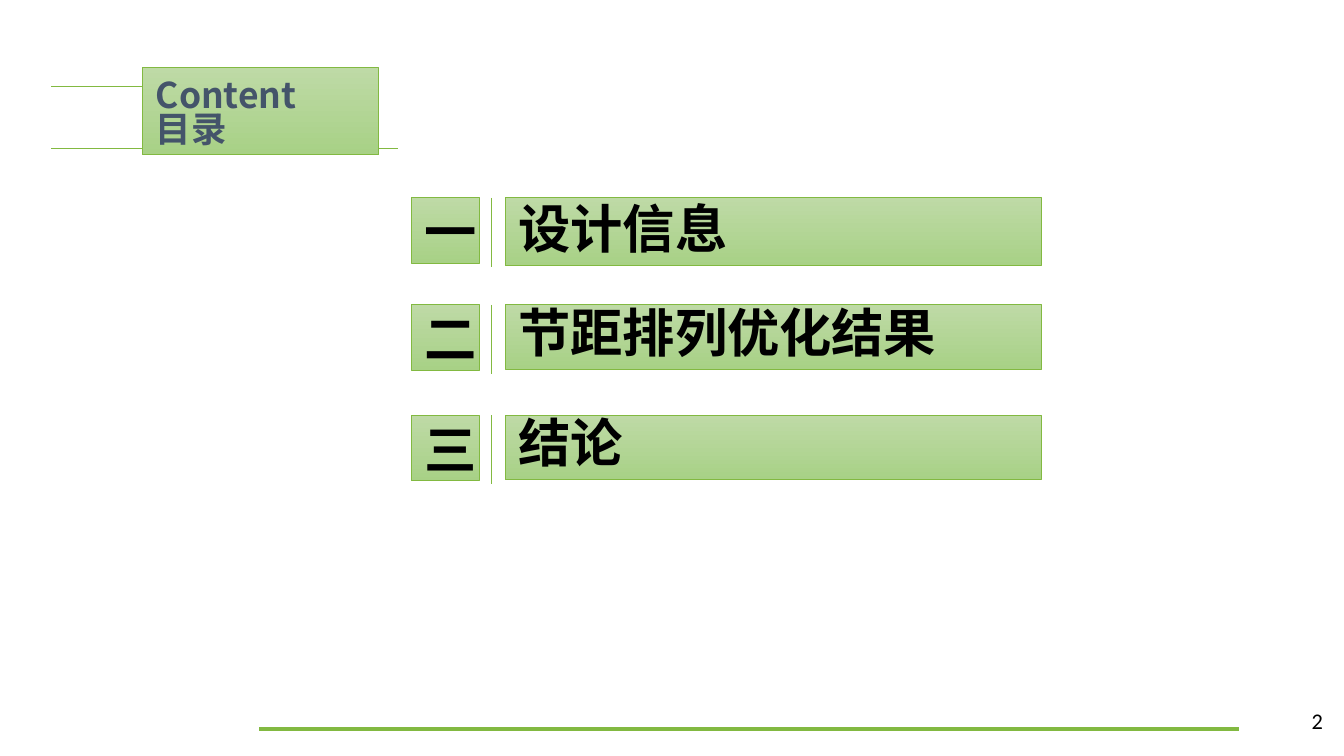
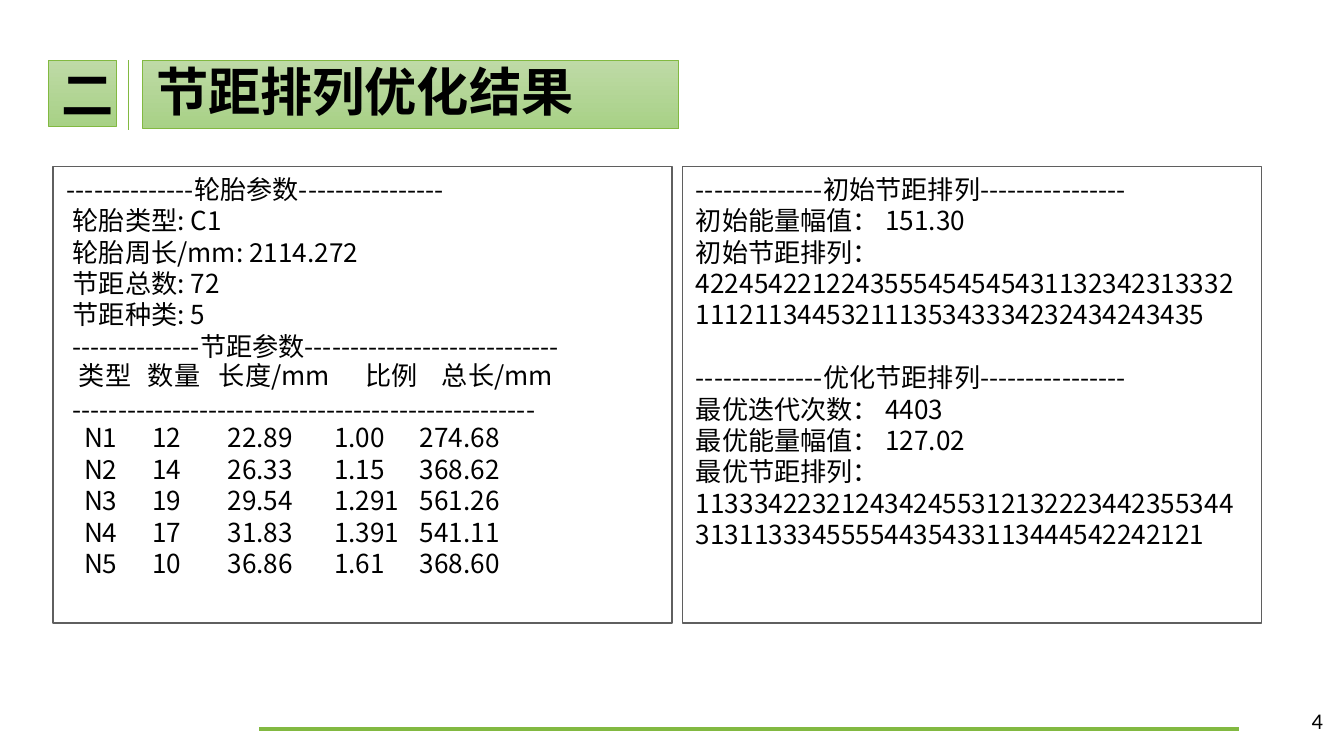
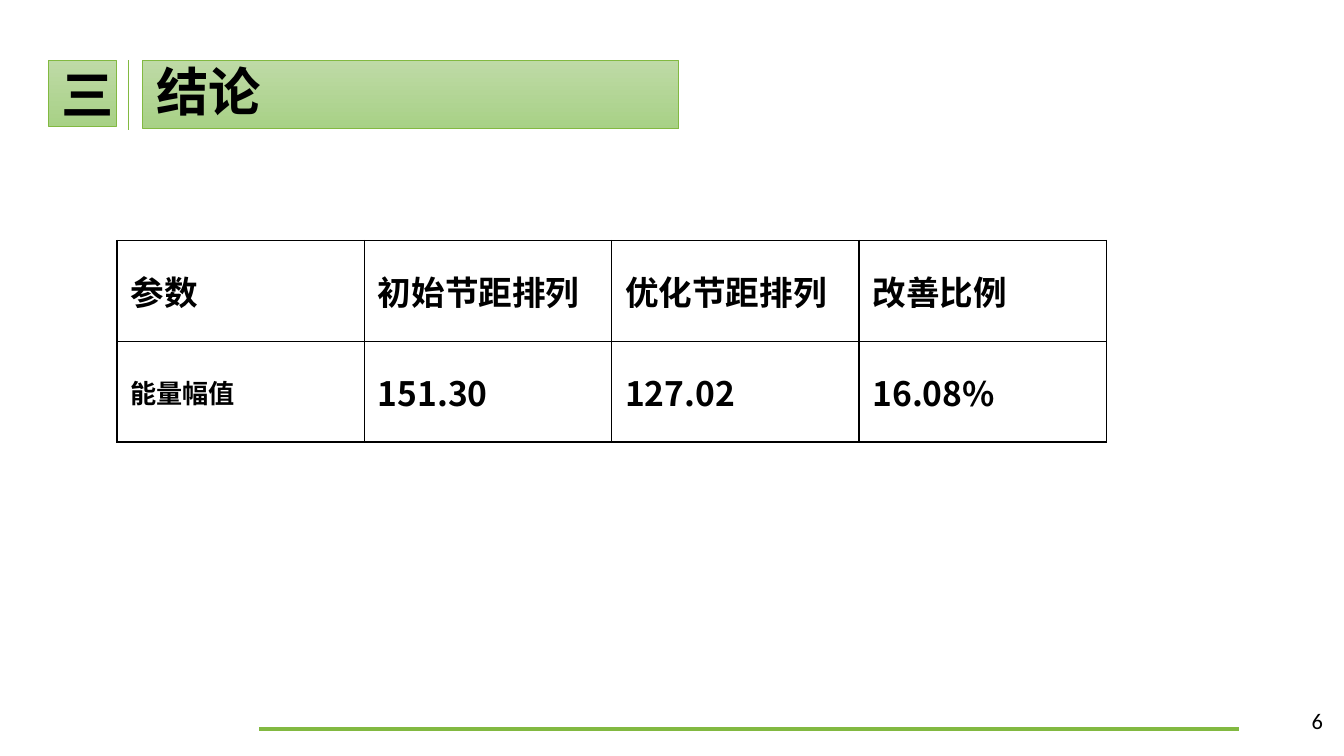
from dataclasses import dataclass
from typing import Any

from pptx import Presentation
from pptx.dml.color import RGBColor
from pptx.enum.shapes import MSO_CONNECTOR as Conn, MSO_SHAPE as Kind
from pptx.enum.text import MSO_ANCHOR as Anchor, MSO_AUTO_SIZE as Fit, PP_ALIGN as Align
from pptx.oxml.ns import qn
from pptx.oxml.xmlchemy import OxmlElement as Node
from pptx.util import Pt

# Shared colours and fonts
GREEN = RGBColor(0x82, 0xB9, 0x41)
PALE = RGBColor(0xBE, 0xDA, 0xA6)
LEAF = RGBColor(0xA8, 0xD1, 0x86)
SLATE = RGBColor(0x44, 0x54, 0x6A)
GREY = RGBColor(0x5F, 0x5F, 0x5F)
BLACK = RGBColor(0, 0, 0)
WHITE = RGBColor(255, 255, 255)
SANS = "Noto Sans CJK SC"

# Text formats
HEAD = dict(size=Pt(28), name=SANS, bold=True)
TOPIC = dict(size=Pt(19), name=SANS, bold=True)
BODY = dict(size=Pt(14), name=SANS, bold=False)
CELL = dict(size=Pt(18), name=SANS, bold=True)
SMALL = dict(CELL, size=Pt(14))
PAGE = dict(size=Pt(12), name="Calibri", bold=False)
LEAD = 1.2  # line height per point of type
ROW = 16.8  # line height of body text

# Frame formats
FRAME = dict(auto_size=Fit.NONE, margin_left=Pt(7.2), margin_right=Pt(7.2),
             margin_top=Pt(3.6), margin_bottom=Pt(3.6))
MID = dict(FRAME, word_wrap=False, vertical_anchor=Anchor.MIDDLE)
LOW = dict(FRAME, word_wrap=False, vertical_anchor=Anchor.BOTTOM)
FLOW = dict(FRAME, word_wrap=True, vertical_anchor=Anchor.TOP)
FOOT = dict(MID, word_wrap=True, margin_right=Pt(6.3))
TIGHT = dict(margin_left=0, margin_right=0, margin_top=0, margin_bottom=0)


@dataclass
class Box:
    left: float
    top: float
    width: float
    height: float

    def args(self) -> list[Pt]:
        return [Pt(v) for v in (self.left, self.top, self.width, self.height)]


@dataclass
class Line:
    text: str
    gap: float = 0
    ratio: float = 1


@dataclass
class Entry:
    num: str
    title: str
    top: float
    tall: float


def apply(item: Any, style: dict[str, Any]) -> None:
    for key, value in style.items():
        setattr(item, key, value)


def ink(run: Any, style: dict[str, Any], color: RGBColor = BLACK) -> None:
    apply(run.font, style)
    run.font.color.rgb = color
    asian = Node("a:ea")
    asian.set("typeface", style["name"])
    run.font._element.find(qn("a:latin")).addnext(asian)


def write(shape: Any, lines: list[Line], frame: dict[str, Any],
          style: dict[str, Any], color: RGBColor = BLACK) -> None:
    text = shape.text_frame
    apply(text, frame)
    for i, line in enumerate(lines):
        para = text.add_paragraph() if i else text.paragraphs[0]
        apply(para, dict(alignment=Align.LEFT, space_before=Pt(line.gap), space_after=Pt(0),
                         line_spacing=Pt(style["size"].pt * LEAD * line.ratio)))
        props = para._p.get_or_add_pPr()
        props.set("marL", "0")
        props.set("indent", "0")
        props.append(Node("a:buNone"))
        run = para.add_run()
        run.text = line.text
        ink(run, style, color)


def place(shape: Any, box: Box) -> None:
    apply(shape, dict(zip(("left", "top", "width", "height"), box.args())))


def shade(shape: Any) -> None:
    shape.fill.gradient()
    shape.fill.gradient_angle = 270
    for stop, pos, color in zip(shape.fill.gradient_stops, (0, 1), (PALE, LEAF)):
        stop.position = pos
        stop.color.rgb = color
    shape.line.color.rgb = GREEN
    shape.line.width = Pt(0.5)


def block(slide: Any) -> Any:
    shape = slide.shapes.add_shape(Kind.RECTANGLE, 0, 0, 0, 0)
    shape.shadow.inherit = False
    return shape


def rule(slide: Any, x1: float, y1: float, x2: float, y2: float, width: float = 0.5) -> Any:
    line = slide.shapes.add_connector(Conn.STRAIGHT, Pt(x1), Pt(y1), Pt(x2), Pt(y2))
    line.line.color.rgb = GREEN
    line.line.width = Pt(width)
    line._element.spPr.append(Node("a:effectLst"))
    return line


def banner(slide: Any, left: float, entry: Entry, bar: Any) -> None:
    """Number chip, thin rule and titled bar."""
    chip = block(slide)
    place(chip, Box(left, entry.top, 36.5, 35.2))
    place(bar, Box(left + 50.4, entry.top, 287.2, entry.tall))
    for shape, text, frame in ((chip, entry.num, MID), (bar, entry.title, LOW)):
        shade(shape)
        write(shape, [Line(text)], frame, HEAD)
    rule(slide, left + 43, entry.top, left + 43, entry.top + 37)


def number(slide: Any, page: int) -> None:
    box = slide.shapes.add_textbox(*Box(553, 375, 162, 21.6).args())
    write(box, [Line(str(page))], FOOT, PAGE)
    box.text_frame.paragraphs[0].alignment = Align.RIGHT


def border(cell: Any, shown: bool) -> None:
    props = cell._tc.get_or_add_tcPr()
    for i, side in enumerate(("lnL", "lnR", "lnT", "lnB")):
        edge = Node(f"a:{side}")
        edge.set("w", str(Pt(1)))
        fill = Node("a:solidFill" if shown else "a:noFill")
        if shown:
            color = Node("a:srgbClr")
            color.set("val", str(BLACK))
            fill.append(color)
        edge.append(fill)
        props.insert(i, edge)


def grid(slide: Any, left: float, top: float, widths: list[float], tall: float,
         rows: list[tuple[str, ...]], lined: bool) -> Any:
    """Unfilled table, with or without borders; its cells hold no text yet."""
    box = Box(left, top, sum(widths), tall * len(rows))
    table = slide.shapes.add_table(len(rows), len(widths), *box.args()).table
    apply(table, dict(first_row=False, horz_banding=False))
    for col, width in zip(table.columns, widths):
        col.width = Pt(width)
    for cell in table.iter_cells():
        cell.fill.background()
        cell.vertical_anchor = Anchor.MIDDLE
        border(cell, lined)
    return table


def columns(slide: Any, top: float, stops: tuple[float, ...],
            rows: list[tuple[str, ...]]) -> None:
    """Borderless rows of body text, each column starting at its stop."""
    widths = [b - a for a, b in zip(stops, stops[1:])]
    table = grid(slide, stops[0], top, widths, ROW, rows, False)
    for r, row in enumerate(rows):
        for c, text in enumerate(row):
            cell = table.cell(r, c)
            apply(cell, TIGHT)
            write(cell, [Line(text)], {}, BODY)
        table.rows[r].height = Pt(ROW)


# Wording
ENTRIES = [Entry("一", "设计信息", 106, 36.5),
           Entry("二", "节距排列优化结果", 163.3, 34.6),
           Entry("三", "结论", 222.5, 34.6)]
NAMES = [("类型", "数量", "长度/mm", "比例", "总长/mm")]
PITCH = [("N1", "12", "22.89", "1.00", "274.68"),
         ("N2", "14", "26.33", "1.15", "368.62"),
         ("N3", "19", "29.54", "1.291", "561.26"),
         ("N4", "17", "31.83", "1.391", "541.11"),
         ("N5", "10", "36.86", "1.61", "368.60")]
INPUT = [
    Line("--------------轮胎参数----------------"),
    Line(" 轮胎类型: C1"),
    Line(" 轮胎周长/mm: 2114.272"),
    Line(" 节距总数: 72"),
    Line(" 节距种类: 5"),
    Line(" --------------节距参数----------------------------"),
    Line(" ---------------------------------------------------", gap=ROW),
]
RESULT = [
    Line("--------------初始节距排列----------------"),
    Line("初始能量幅值： 151.30"),
    Line("初始节距排列： 422454221224355545454543113234231333211121134453211135343334232434243435"),
    Line("--------------优化节距排列----------------", gap=ROW),
    Line("最优迭代次数： 4403"),
    Line("最优能量幅值： 127.02"),
    Line("最优节距排列： 113334223212434245531213222344235534431311333455554435433113444542242121"),
]
GAIN = [("参数", "初始节距排列", "优化节距排列", "改善比例"),
        ("能量幅值", "151.30", "127.02", "16.08%")]


def agenda(slide: Any) -> None:
    rule(slide, 82, 46.6, 27.4, 46.6)
    rule(slide, 27.4, 79.4, 213, 79.4)
    title = slide.shapes.title
    slide.shapes.element.append(title.element)  # bring above the lines
    place(title, Box(76.3, 36.2, 126.5, 46.6))
    shade(title)
    write(title, [Line("Content"), Line("目录", ratio=0.8)], MID, TOPIC, SLATE)
    for entry in ENTRIES:
        banner(slide, 220.3, entry, block(slide))


def section(slide: Any, entry: Entry) -> None:
    banner(slide, 26, Entry(entry.num, entry.title, 32.4, 36.7), slide.shapes.title)


def panels(slide: Any) -> None:
    section(slide, ENTRIES[1])
    boxes = Box(28.6, 89.2, 331.4, 244.8), Box(365.6, 89.2, 310.2, 244.8)
    for idx, box, lines in zip((1, 2), boxes, (INPUT, RESULT)):
        panel = slide.placeholders[idx]
        place(panel, box)
        panel.fill.solid()
        panel.fill.fore_color.rgb = WHITE
        panel.line.color.rgb = GREY
        panel.line.width = Pt(1)
        write(panel, lines, FLOW, BODY)
    # Pitch columns sit on lines 7 and 9 to 13 of the left panel
    first = 89.2 + 3.6
    columns(slide, first + 6 * ROW, (42.3, 79.3, 117.3, 196, 236.8, 340), NAMES)
    columns(slide, first + 8 * ROW, (45, 81.5, 122, 179, 225, 340), PITCH)


def summary(slide: Any) -> None:
    section(slide, ENTRIES[2])
    table = grid(slide, 62.7, 128.9, [132.5] * 4, 54, GAIN, True)
    for r, row in enumerate(GAIN):
        for c, text in enumerate(row):
            run = table.cell(r, c).text_frame.paragraphs[0].add_run()
            run.text = text
            ink(run, SMALL if (r, c) == (1, 0) else CELL)


def main() -> None:
    deck = Presentation()
    deck.slide_width, deck.slide_height = Pt(720), Pt(405)
    only, two = deck.slide_layouts[5], deck.slide_layouts[3]
    for layout, page, draw in ((only, 2, agenda), (two, 4, panels), (only, 6, summary)):
        slide = deck.slides.add_slide(layout)
        draw(slide)
        number(slide, page)
    # Footer line, shared through the master
    foot = rule(deck.slides[0], 139, 390.7, 664, 390.7, 2.25)
    deck.slide_master.shapes.element.append(foot.element)
    deck.save("out.pptx")


if __name__ == "__main__":
    main()
